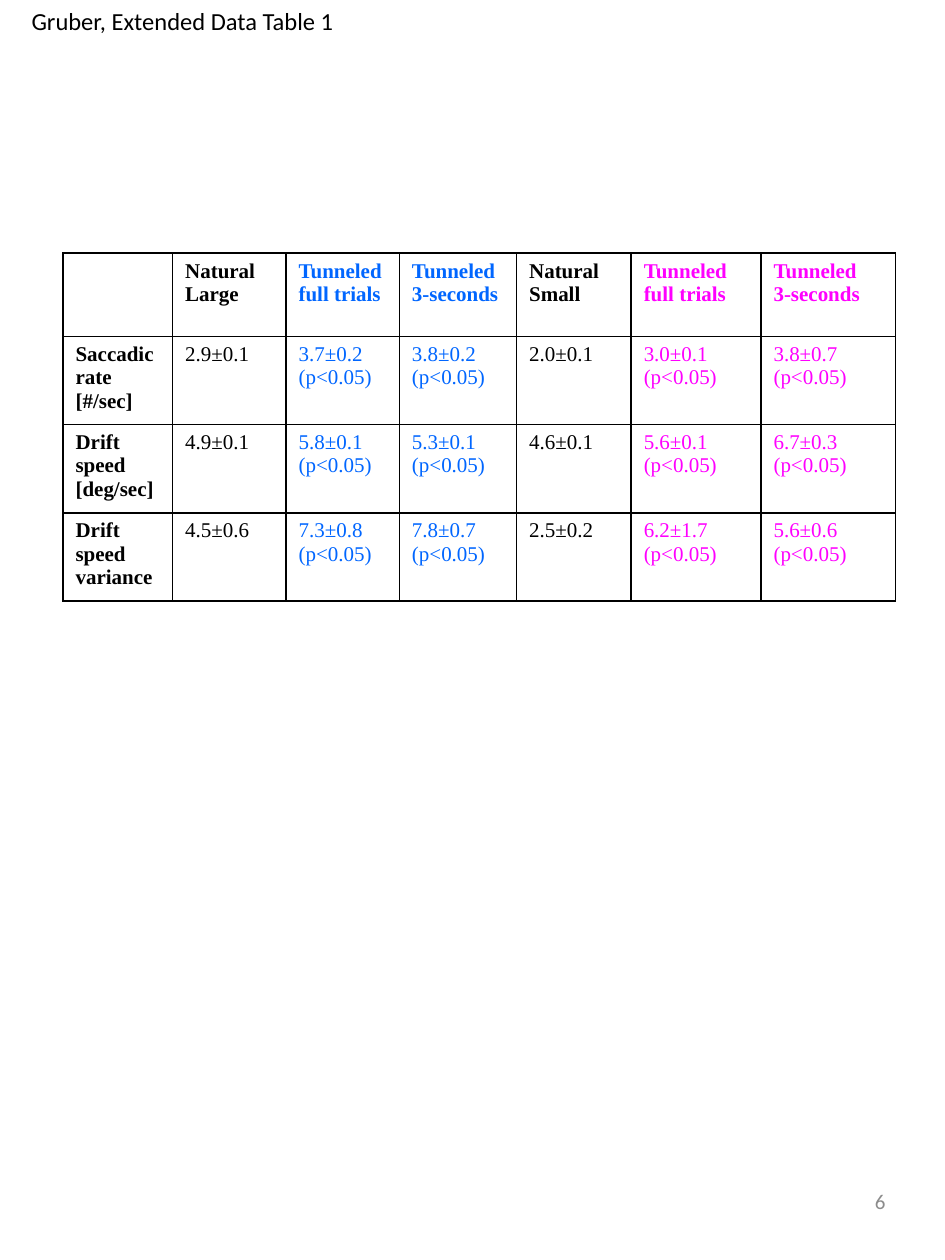
import pptx
import pptx.util
import pptx.dml.color
import pptx.enum.text
import pptx.oxml.ns
import lxml.etree

RGB = pptx.dml.color.RGBColor
ALIGN = pptx.enum.text.PP_ALIGN
ANCHOR = pptx.enum.text.MSO_ANCHOR
BLACK = RGB(0x00, 0x00, 0x00)
BLUE = RGB(0x00, 0x66, 0xFF)
PINK = RGB(0xFF, 0x00, 0xFF)
GRAY = RGB(0x8C, 0x8C, 0x8C)
WIDE = pptx.util.Inches(7.5)
HIGH = pptx.util.Inches(10)

COLS = [0.87, 0.9, 0.9, 0.93, 0.91, 1.03, 1.07]
ROW = 0.66
HUES = [BLACK, BLACK, BLUE, BLUE, BLACK, PINK, PINK]
HEADS = ["", "Natural\nLarge", "Tunneled\nfull trials", "Tunneled\n3-seconds",
         "Natural\nSmall", "Tunneled\nfull trials", "Tunneled\n3-seconds"]
ROWS = [
    ("Saccadic rate [#/sec]", "2.9±0.1 3.7±0.2 3.8±0.2 2.0±0.1 3.0±0.1 3.8±0.7"),
    ("Drift speed\n[deg/sec]", "4.9±0.1 5.8±0.1 5.3±0.1 4.6±0.1 5.6±0.1 6.7±0.3"),
    ("Drift speed variance", "4.5±0.6 7.3±0.8 7.8±0.7 2.5±0.2 6.2±1.7 5.6±0.6"),
]


def place(shape, left, top, width, height):
    shape.left, shape.top = int(WIDE * left), int(HIGH * top)
    shape.width, shape.height = int(WIDE * width), int(HIGH * height)


def write(frame, text, size=12, font="Calibri", color=BLACK, bold=False,
          align=ALIGN.LEFT, anchor=ANCHOR.TOP, wrap=True):
    frame.word_wrap = wrap
    frame.vertical_anchor = anchor
    frame.text = text
    for para in frame.paragraphs:
        para.alignment = align
        for run in para.runs:
            run.font.size = pptx.util.Pt(size)
            run.font.name = font
            run.font.bold = bold
            run.font.color.rgb = color


def edge(cell):
    props = cell._tc.get_or_add_tcPr()
    name = pptx.oxml.ns.qn
    for side in ("lnL", "lnR", "lnT", "lnB"):
        line = lxml.etree.SubElement(props, name("a:" + side), w=str(pptx.util.Pt(1)))
        fill = lxml.etree.SubElement(line, name("a:solidFill"))
        lxml.etree.SubElement(fill, name("a:srgbClr"), val=str(BLACK))


def add_title(slide, text):
    title = slide.shapes.title
    place(title, 0.02, 0, 0.35, 0.034)
    write(title.text_frame, text, size=14, wrap=False)
    title.text_frame.auto_size = pptx.enum.text.MSO_AUTO_SIZE.SHAPE_TO_FIT_TEXT


def add_page(slide, text):
    box = slide.shapes.add_textbox(0, 0, 0, 0)
    place(box, 0.717, 0.927, 0.233, 0.053)
    write(box.text_frame, text, color=GRAY, align=ALIGN.RIGHT, anchor=ANCHOR.MIDDLE)


def make_grid():
    grid = [HEADS]
    for label, values in ROWS:
        cells = [label]
        for hue, value in zip(HUES[1:], values.split()):
            cells.append(value if hue == BLACK else value + "\n(p<0.05)")
        grid.append(cells)
    return grid


def add_grid(slide, grid):
    frame = slide.shapes.add_table(len(grid), len(COLS), 0, 0, WIDE, HIGH)
    place(frame, 1 / 15, 0.201, sum(COLS) / 7.5, ROW * len(grid) / 10)
    table = frame.table
    table.first_row = table.horz_banding = False
    for col, width in zip(table.columns, COLS):
        col.width = pptx.util.Inches(width)
    for r, texts in enumerate(grid):
        table.rows[r].height = pptx.util.Inches(ROW)
        for c, text in enumerate(texts):
            cell = table.cell(r, c)
            edge(cell)
            cell.fill.background()
            write(cell.text_frame, text, font="Times New Roman",
                  color=HUES[c], bold=r == 0 or c == 0)


def main():
    deck = pptx.Presentation()
    deck.slide_width, deck.slide_height = WIDE, HIGH
    slide = deck.slides.add_slide(deck.slide_layouts[5])
    add_title(slide, "Gruber, Extended Data Table 1")
    add_grid(slide, make_grid())
    add_page(slide, "6")
    deck.save("out.pptx")


if __name__ == "__main__":
    main()
